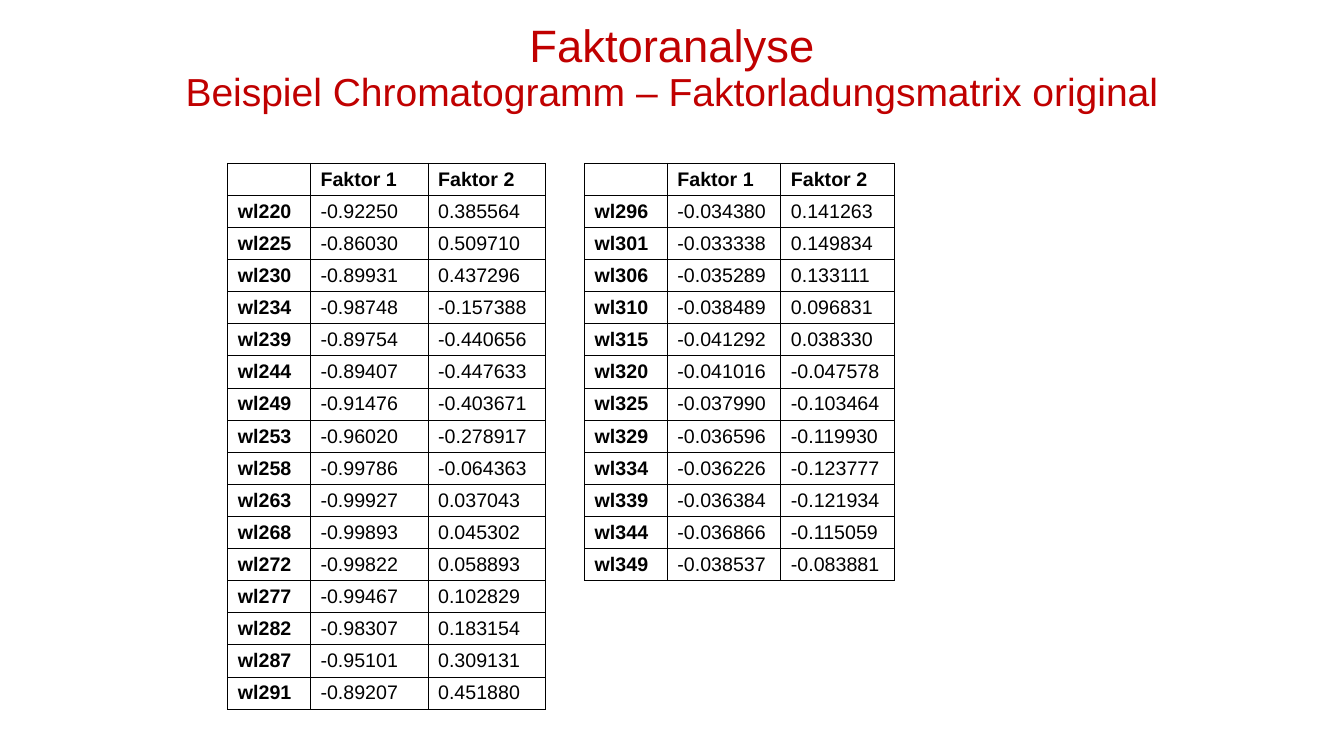
from dataclasses import dataclass

from lxml.etree import SubElement
from pptx import Presentation
from pptx.dml.color import RGBColor
from pptx.enum.text import MSO_ANCHOR, MSO_AUTO_SIZE, PP_ALIGN
from pptx.oxml.ns import qn
from pptx.util import Emu, Inches, Pt

WIDTH, HEIGHT = Inches(13.33), Inches(7.5)
FONT = "Arial"
RED, BLACK = "C00000", "000000"
TABLE_TOP, ROW_HEIGHT = 21.6, 4.25  # percent of the slide height
HEADER = ("", "Faktor 1", "Faktor 2")


@dataclass
class LoadingTable:
    left: float  # percent of the slide width
    columns: tuple[float, ...]  # percent of the slide width
    loadings: str  # one line per wavelength


LOADING_TABLES = [
    LoadingTable(43.5, (6.15, 8.45, 8.45), """\
wl296 -0.034380 0.141263
wl301 -0.033338 0.149834
wl306 -0.035289 0.133111
wl310 -0.038489 0.096831
wl315 -0.041292 0.038330
wl320 -0.041016 -0.047578
wl325 -0.037990 -0.103464
wl329 -0.036596 -0.119930
wl334 -0.036226 -0.123777
wl339 -0.036384 -0.121934
wl344 -0.036866 -0.115059
wl349 -0.038537 -0.083881"""),
    LoadingTable(16.95, (6.15, 8.75, 8.75), """\
wl220 -0.92250 0.385564
wl225 -0.86030 0.509710
wl230 -0.89931 0.437296
wl234 -0.98748 -0.157388
wl239 -0.89754 -0.440656
wl244 -0.89407 -0.447633
wl249 -0.91476 -0.403671
wl253 -0.96020 -0.278917
wl258 -0.99786 -0.064363
wl263 -0.99927 0.037043
wl268 -0.99893 0.045302
wl272 -0.99822 0.058893
wl277 -0.99467 0.102829
wl282 -0.98307 0.183154
wl287 -0.95101 0.309131
wl291 -0.89207 0.451880"""),
]


def across(percent: float) -> Emu:
    return Emu(round(WIDTH * percent / 100))


def down(percent: float) -> Emu:
    return Emu(round(HEIGHT * percent / 100))


def style_span(span, size: float, color: str, bold: bool = False) -> None:
    span.font.name = FONT
    span.font.size = Pt(size)
    span.font.bold = bold
    span.font.color.rgb = RGBColor.from_string(color)


def add_borders(cell, color: str, width: float) -> None:
    properties = cell._tc.get_or_add_tcPr()
    for side in ("lnL", "lnR", "lnT", "lnB"):
        line = SubElement(properties, qn(f"a:{side}"), w=str(Pt(width)))
        fill = SubElement(line, qn("a:solidFill"))
        SubElement(fill, qn("a:srgbClr"), val=color)


def fill_cell(cell, text: str, bold: bool) -> None:
    cell.text_frame.text = text
    cell.vertical_anchor = MSO_ANCHOR.MIDDLE
    cell.margin_top = cell.margin_bottom = 0
    add_borders(cell, BLACK, 0.75)
    cell.fill.background()
    for span in cell.text_frame.paragraphs[0].runs:
        style_span(span, 14, BLACK, bold)


def draw_loadings(page, spec_table: LoadingTable) -> None:
    rows = [HEADER] + [line.split() for line in spec_table.loadings.splitlines()]
    frame = page.shapes.add_table(
        len(rows), len(HEADER), across(spec_table.left), down(TABLE_TOP),
        across(sum(spec_table.columns)), down(ROW_HEIGHT * len(rows)))
    table = frame.table
    table.horz_banding = False
    table.first_row = False
    for column, width in zip(table.columns, spec_table.columns):
        column.width = across(width)
    for row_index, row in enumerate(rows):
        table.rows[row_index].height = down(ROW_HEIGHT)
        for column_index, text in enumerate(row):
            is_label = row_index == 0 or column_index == 0
            fill_cell(table.cell(row_index, column_index), text, is_label)


def draw_title(page) -> None:
    title = page.shapes.title
    title.left, title.top = across(11.85), down(3.2)
    title.width, title.height = across(76.3), down(11.9)
    frame = title.text_frame
    frame.text = "Faktoranalyse\vBeispiel Chromatogramm – Faktorladungsmatrix original"
    frame.word_wrap = True
    frame.auto_size = MSO_AUTO_SIZE.NONE
    frame.vertical_anchor = MSO_ANCHOR.MIDDLE
    para = frame.paragraphs[0]
    para.alignment = PP_ALIGN.CENTER
    para.line_spacing = 0.9
    for span, size in zip(para.runs, (32.4, 27.9)):
        style_span(span, size, RED)
    # The line break takes the size of the first line
    SubElement(para._p.find(qn("a:br")), qn("a:rPr"), sz="3240")


def main() -> None:
    deck = Presentation()
    deck.slide_width, deck.slide_height = WIDTH, HEIGHT
    page = deck.slides.add_slide(deck.slide_layouts[5])

    # Heading
    draw_title(page)

    # Factor loadings
    for loading_table in LOADING_TABLES:
        draw_loadings(page, loading_table)

    deck.save("out.pptx")


if __name__ == "__main__":
    main()
